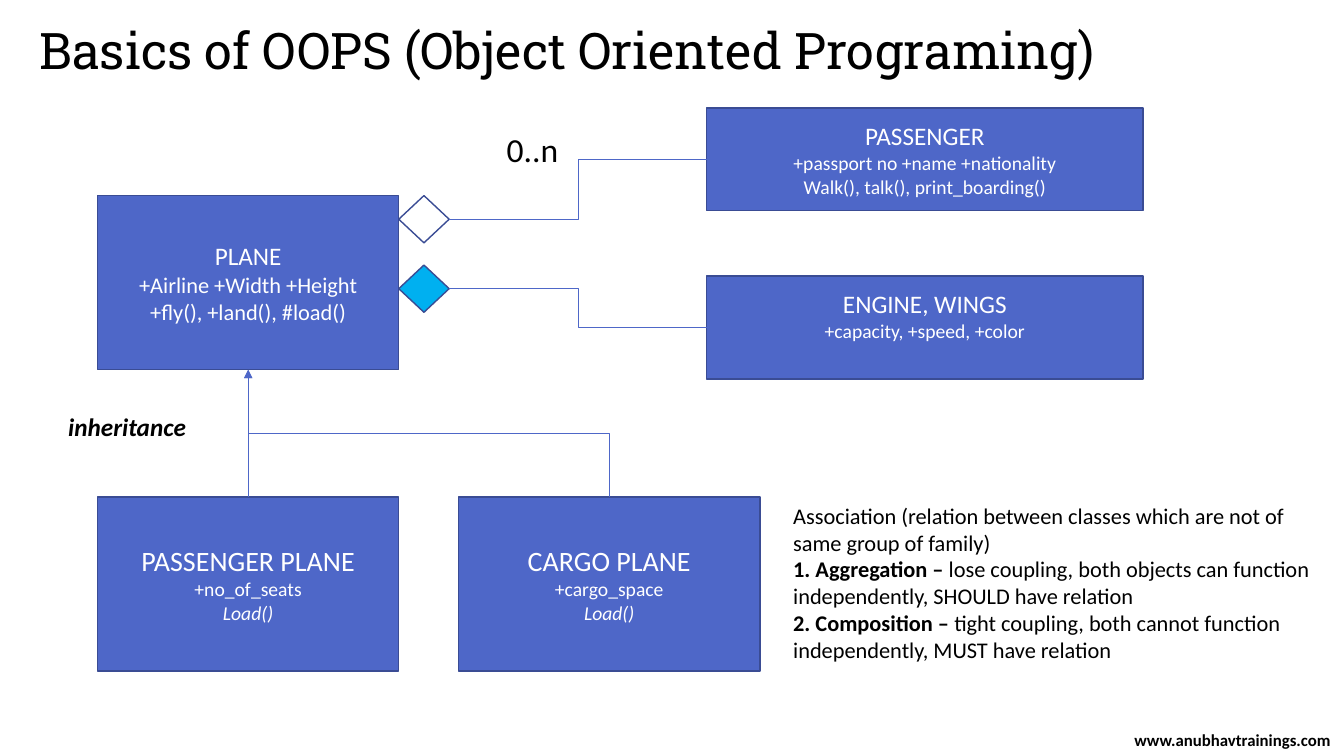
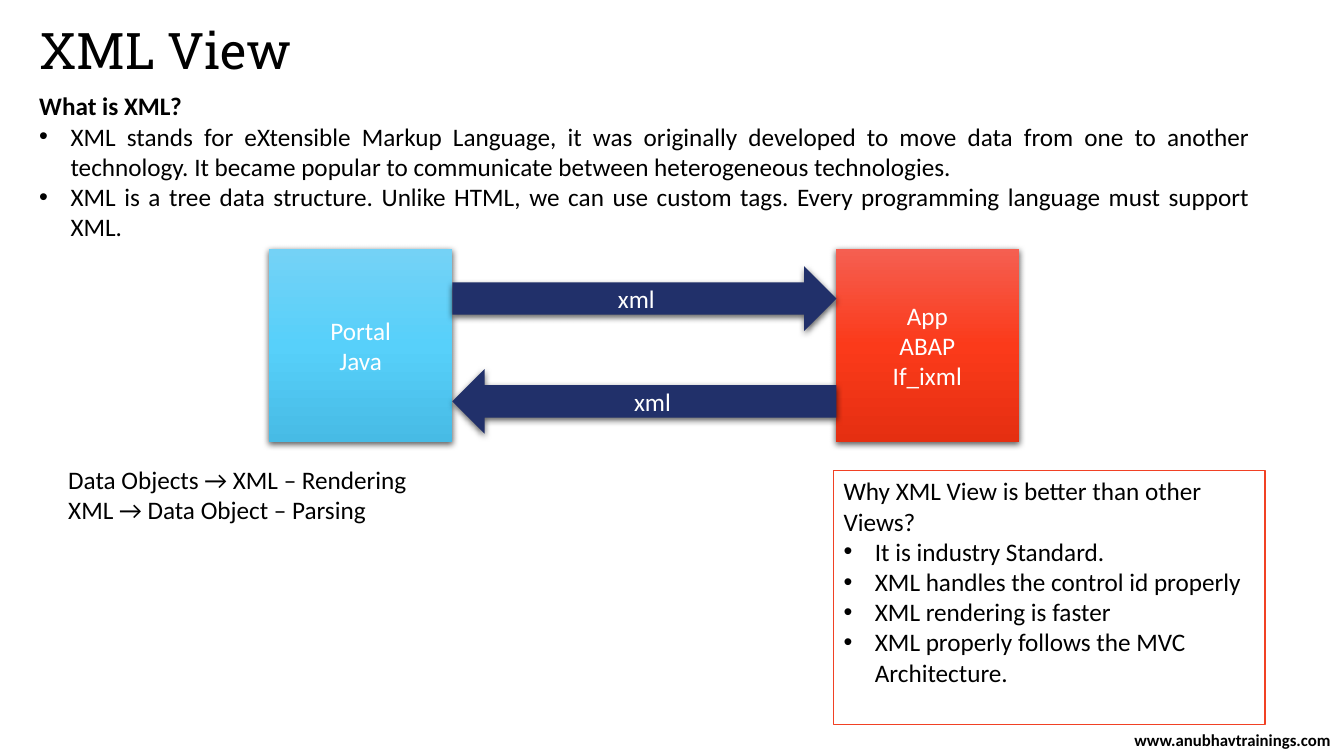
from copy import deepcopy

from pptx import Presentation
from pptx.dml.color import RGBColor
from pptx.enum.shapes import MSO_CONNECTOR, MSO_SHAPE
from pptx.enum.text import MSO_ANCHOR, PP_ALIGN
from pptx.oxml import parse_xml
from pptx.oxml.ns import nsdecls, qn
from pptx.util import Cm, Pt

COLORS = {
    "text": "000000",
    "white": "FFFFFF",
    "class": "4E67C8",
    "class_edge": "3A4C94",
    "composition": "00B0F0",
    "arrow": "21306A",
    "panel_edge": "F14124",
}
PORTAL_GRADIENT = ("74D2F6", "57D0FA", "47BBE5")
APP_GRADIENT = ("F55F51", "FB3A1A", "E52F11")
BULLET_INDENT = Cm(0.79)


def write(shape, paragraphs, color="text", font="Calibri", align=PP_ALIGN.LEFT,
          anchor=MSO_ANCHOR.TOP, bullets=()):
    """Fill a shape with paragraphs, each a list of (text, size, style) runs.

    A style holds b for bold and i for italic; bullets lists paragraph indices.
    """
    frame = shape.text_frame
    frame.word_wrap = True
    frame.vertical_anchor = anchor
    for index, runs in enumerate(paragraphs):
        paragraph = frame.add_paragraph() if index else frame.paragraphs[0]
        paragraph.alignment = align
        if index in bullets:
            properties = paragraph._p.get_or_add_pPr()
            properties.set("marL", str(BULLET_INDENT))
            properties.set("indent", str(-BULLET_INDENT))
            properties.append(parse_xml(f'<a:buFont {nsdecls("a")} typeface="Arial"/>'))
            properties.append(parse_xml(f'<a:buChar {nsdecls("a")} char="•"/>'))
        for text, size, style in runs:
            run = paragraph.add_run()
            run.text = text
            run.font.name = font
            run.font.size = Pt(size)
            run.font.bold = "b" in style
            run.font.italic = "i" in style
            run.font.color.rgb = RGBColor.from_string(COLORS[color])


def connect(slide, kind, source, source_site, target, target_site, arrow=False):
    """Glue a thin line between connection sites: 0 top, 1 left, 2 bottom, 3 right."""
    line = slide.shapes.add_connector(kind, 0, 0, 0, 0)
    line.begin_connect(source, source_site)
    line.end_connect(target, target_site)
    line.line.color.rgb = RGBColor.from_string(COLORS["class"])
    line.line.width = Pt(0.5)
    if arrow:
        line.line._get_or_add_ln().append(
            parse_xml(f'<a:tailEnd {nsdecls("a")} type="triangle"/>'))
    line._element.spPr.append(parse_xml(f'<a:effectLst {nsdecls("a")}/>'))
    return line


deck = Presentation()
deck.slide_width, deck.slide_height = Cm(33.87), Cm(19.05)

# Title and footer on every slide
slides = []
for title in ("Basics of OOPS (Object Oriented Programing)", "XML View"):
    slide = deck.slides.add_slide(deck.slide_layouts[6])
    heading = slide.shapes.add_textbox(Cm(0.74), Cm(0.53), Cm(31.01), Cm(1.65))
    write(heading, [[(title, 36, "")]], font="Roboto Slab")
    heading.text_frame.paragraphs[0].line_spacing = 0.9
    footer = slide.shapes.add_textbox(Cm(28.27), Cm(18.44), Cm(5.59), Cm(0.41))
    write(footer, [[("www.anubhavtrainings.com", 12, "b")]],
          align=PP_ALIGN.CENTER, anchor=MSO_ANCHOR.MIDDLE)
    slides.append(slide)
oops, xml_view = slides

# Class diagram: name, position, size, and the lines of each class
PLANE_SIZE, PART_SIZE = (7.59, 4.39), (11, 2.59)
classes = {}
for name, (left, top), (width, height), name_size, details in (
    ("PLANE", (2.46, 4.93), PLANE_SIZE, 18,
     [("+Airline +Width +Height", 16, ""), ("+fly(), +land(), #load()", 16, "")]),
    ("PASSENGER PLANE", (2.46, 12.52), PLANE_SIZE, 20,
     [("+no_of_seats", 14, ""), ("Load()", 14, "i")]),
    ("CARGO PLANE", (11.56, 12.52), PLANE_SIZE, 20,
     [("+cargo_space", 14, ""), ("Load()", 14, "i")]),
    ("PASSENGER", (17.81, 2.72), PART_SIZE, 18,
     [("+passport no +name +nationality", 14, ""),
      ("Walk(), talk(), print_boarding()", 14, "")]),
    ("ENGINE, WINGS", (17.81, 6.96), PART_SIZE, 18,
     [("+capacity, +speed, +color", 14, "")]),
):
    box = oops.shapes.add_shape(MSO_SHAPE.RECTANGLE, Cm(left), Cm(top), Cm(width), Cm(height))
    box.shadow.inherit = False
    box.fill.solid()
    box.fill.fore_color.rgb = RGBColor.from_string(COLORS["class"])
    box.line.color.rgb = RGBColor.from_string(COLORS["class_edge"])
    box.line.width = Pt(1)
    write(box, [[(name, name_size, "")]] + [[detail] for detail in details],
          color="white", align=PP_ALIGN.CENTER, anchor=MSO_ANCHOR.MIDDLE)
    classes[name] = box
classes["ENGINE, WINGS"].text_frame.margin_bottom = Cm(0.73)

# Hollow diamond for aggregation, filled diamond for composition
plane = classes["PLANE"]
for top, fill, part in ((4.93, None, "PASSENGER"), (6.68, "composition", "ENGINE, WINGS")):
    diamond = oops.shapes.add_shape(MSO_SHAPE.FLOWCHART_DECISION,
                                    plane.left + plane.width, Cm(top), Cm(1.27), Cm(1.19))
    diamond.shadow.inherit = False
    if fill:
        diamond.fill.solid()
        diamond.fill.fore_color.rgb = RGBColor.from_string(COLORS[fill])
    else:
        diamond.fill.background()
    diamond.line.color.rgb = RGBColor.from_string(COLORS["class_edge"])
    diamond.line.width = Pt(1)
    connect(oops, MSO_CONNECTOR.ELBOW, diamond, 3, classes[part], 1)

# Inheritance arrows; the elbow is turned so that it leaves the cargo plane upwards
connect(oops, MSO_CONNECTOR.STRAIGHT, classes["PASSENGER PLANE"], 0, plane, 2, arrow=True)
cargo_link = connect(oops, MSO_CONNECTOR.ELBOW, classes["CARGO PLANE"], 0, plane, 2, arrow=True)
across, rise = cargo_link.width, cargo_link.height
cargo_link.left += (across - rise) // 2
cargo_link.top -= (across - rise) // 2
cargo_link.width, cargo_link.height = rise, across
turn = cargo_link._element.spPr.find(qn("a:xfrm"))
turn.attrib.pop("flipH", None)
turn.set("flipV", "1")
turn.set("rot", str(270 * 60000))

# Free text on both slides
for slide, (left, top, width, height), paragraphs, align, bullets in (
    (oops, (1.47, 10.24, 6.4, 1.27), [[("inheritance", 18, "bi")]], PP_ALIGN.LEFT, ()),
    (oops, (12.52, 3.12, 3.51, 1.27), [[("0..n", 24, "")]], PP_ALIGN.LEFT, ()),
    (oops, (19.74, 12.52, 13.84, 4.37), [
        [("Association (relation between classes which are not of same group of family)", 16, "")],
        [("1. Aggregation – ", 16, "b"),
         ("lose coupling, both objects can function independently, SHOULD have relation", 16, "")],
        [("2. Composition – ", 16, "b"),
         ("tight coupling, both cannot function independently, MUST have relation", 16, "")],
    ], PP_ALIGN.LEFT, ()),
    (xml_view, (0.74, 2.16, 31.01, 4.88), [
        [("What is XML?", 18, "b")],
        [("XML stands for eXtensible Markup Language, it was originally developed to move data "
          "from one to another technology. It became popular to communicate between "
          "heterogeneous technologies.", 18, "")],
        [("XML is a tree data structure. Unlike HTML, we can use custom tags. Every programming "
          "language must support XML.", 18, "")],
    ], PP_ALIGN.JUSTIFY, (1, 2)),
    (xml_view, (1.47, 11.58, 17.15, 1.8), [
        [("Data Objects → XML – Rendering", 18, "")],
        [("XML → Data Object – Parsing", 18, "")],
    ], PP_ALIGN.LEFT, ()),
):
    note = slide.shapes.add_textbox(Cm(left), Cm(top), Cm(width), Cm(height))
    write(note, paragraphs, align=align, bullets=bullets)

# Two systems exchanging XML
for kind, (left, top, width, height), gradient, lines in (
    (MSO_SHAPE.RECTANGLE, (6.78, 6.27, 4.62, 4.88), PORTAL_GRADIENT, ("Portal", "Java")),
    (MSO_SHAPE.RECTANGLE, (21.06, 6.27, 4.62, 4.88), APP_GRADIENT, ("App", "ABAP", "If_ixml")),
    (MSO_SHAPE.RIGHT_ARROW, (11.4, 6.71, 9.68, 1.63), None, ("xml",)),
    (MSO_SHAPE.LEFT_ARROW, (11.4, 9.3, 9.68, 1.63), None, ("xml",)),
):
    system = xml_view.shapes.add_shape(kind, Cm(left), Cm(top), Cm(width), Cm(height))
    system.line.fill.background()
    if gradient:
        system.fill.gradient()
        system.fill.gradient_angle = 270
        stops = system._element.spPr.find(".//" + qn("a:gsLst"))
        stops.append(deepcopy(stops[0]))
        for stop, position, color in zip(system.fill.gradient_stops, (0, 0.5, 1), gradient):
            stop.position = position
            stop.color.rgb = RGBColor.from_string(color)
    else:
        system.fill.solid()
        system.fill.fore_color.rgb = RGBColor.from_string(COLORS["arrow"])
    system.shadow.inherit = False
    system._element.spPr.find(qn("a:effectLst")).append(parse_xml(
        f'<a:outerShdw {nsdecls("a")} blurRad="{Pt(4.5)}" dist="{Pt(1.5)}" dir="5400000" '
        'rotWithShape="0"><a:srgbClr val="000000"><a:alpha val="63000"/></a:srgbClr>'
        '</a:outerShdw>'))
    write(system, [[(line, 18, "")] for line in lines], color="white",
          align=PP_ALIGN.CENTER, anchor=MSO_ANCHOR.MIDDLE)

# Reasons for XML views
reasons = xml_view.shapes.add_shape(MSO_SHAPE.RECTANGLE,
                                    Cm(21.01), Cm(11.86), Cm(10.87), Cm(6.4))
reasons.shadow.inherit = False
reasons.fill.solid()
reasons.fill.fore_color.rgb = RGBColor.from_string(COLORS["white"])
reasons.line.color.rgb = RGBColor.from_string(COLORS["panel_edge"])
reasons.line.width = Pt(1)
write(reasons, [[(line, 18, "")] for line in (
    "Why XML View is better than other Views?",
    "It is industry Standard.",
    "XML handles the control id properly",
    "XML rendering is faster",
    "XML properly follows the MVC Architecture.",
)], bullets=range(1, 5))

deck.save("out.pptx")
